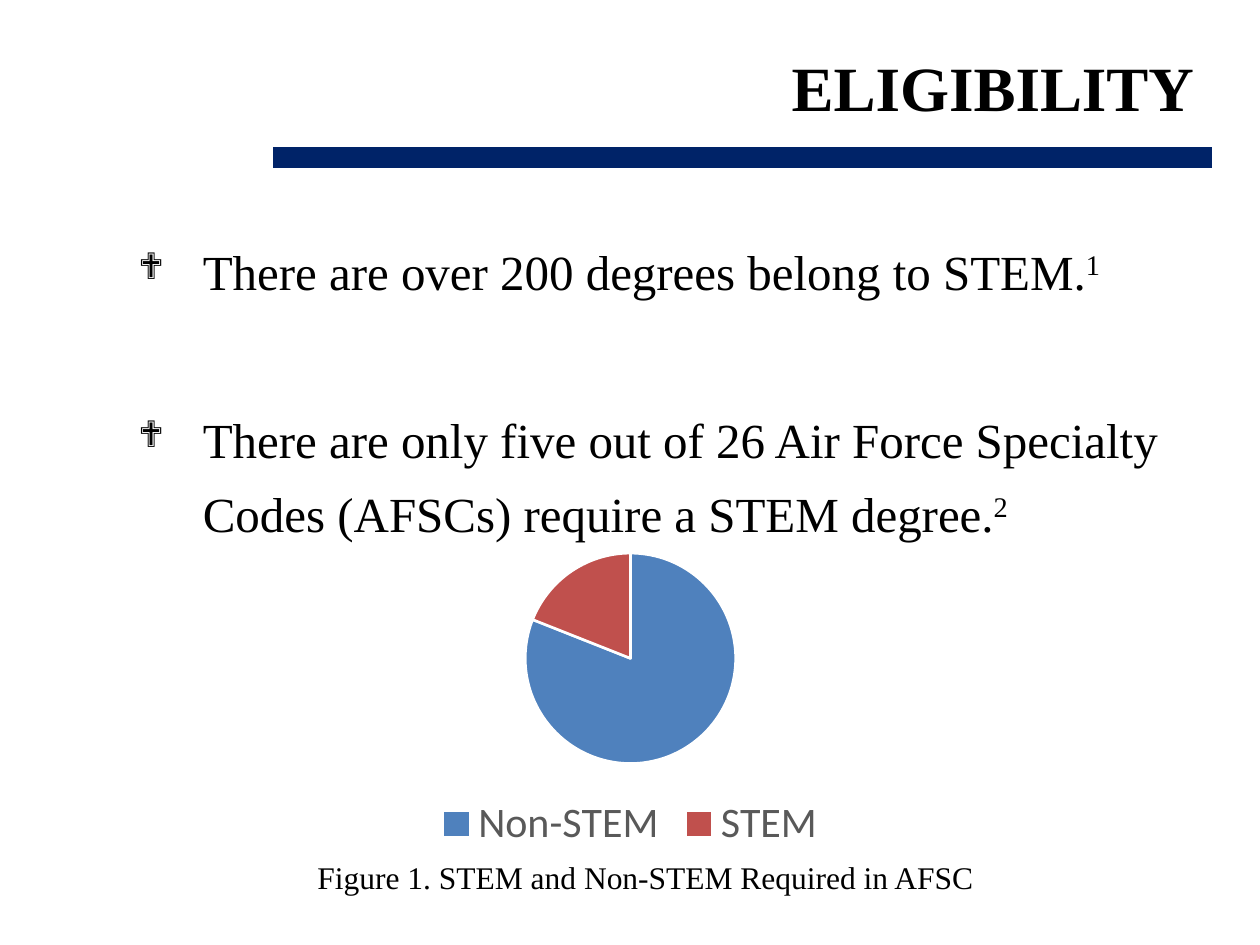
from dataclasses import dataclass

from lxml.etree import SubElement
from pptx import Presentation
from pptx.chart.data import CategoryChartData
from pptx.dml.color import RGBColor
from pptx.enum.chart import XL_CHART_TYPE as Chart, XL_LEGEND_POSITION as Legend
from pptx.enum.shapes import MSO_CONNECTOR as Conn
from pptx.enum.text import MSO_ANCHOR as Anchor, MSO_AUTO_SIZE as Auto, PP_ALIGN as Align
from pptx.oxml.ns import qn
from pptx.util import Cm, Pt


@dataclass(frozen=True)
class Theme:
    """Colours, fonts and type sizes."""
    ink: str = "000000"
    rule: str = "002368"
    legend: str = "595959"
    gap: str = "FFFFFF"
    slices: tuple = ("4F81BD", "C0504D")
    serif: str = "Times New Roman"
    sans: str = "Calibri"
    title: int = 36
    body: int = 28
    key: int = 24
    caption: int = 18


def assign(obj, **values):
    """Set each named attribute on an object."""
    for name, value in values.items():
        setattr(obj, name, value)


def box(*lengths):
    """Turn centimetres into lengths."""
    return [Cm(v) for v in lengths]


class Deck:
    """Hold the theme and the current slide."""

    def __init__(self, prs, theme):
        """Add a title-only slide."""
        self.theme = theme
        self.s = prs.slides.add_slide(prs.slide_layouts[5])

    def style(self, font, size, color=None, name=None, bold=False):
        """Format a font."""
        assign(font, size=Pt(size), name=name or self.theme.serif, bold=bold)
        font.color.rgb = RGBColor.from_string(color or self.theme.ink)

    def run(self, p, text, size, bold=False, raised=False):
        """Add a formatted run to a paragraph."""
        r = p.add_run()
        r.text = text
        self.style(r.font, size, bold=bold)
        if raised:
            r._r.get_or_add_rPr().set("baseline", "30000")

    def title(self, text, at):
        """Place the title at the right."""
        sp = self.s.shapes.title
        assign(sp, **dict(zip(("left", "top", "width", "height"), box(*at))))
        tf = sp.text_frame
        assign(tf, word_wrap=True, auto_size=Auto.NONE, vertical_anchor=Anchor.MIDDLE)
        p = tf.paragraphs[0]
        p.alignment = Align.RIGHT
        self.run(p, text, self.theme.title, bold=True)

    def rule(self, x1, x2, y, width):
        """Draw a horizontal rule."""
        cn = self.s.shapes.add_connector(Conn.STRAIGHT, *box(x1, y, x2, y))
        cn.line.width = Pt(width)
        cn.line.color.rgb = RGBColor.from_string(self.theme.rule)
        SubElement(cn._element.spPr, qn("a:effectLst"))

    def text_box(self, at):
        """Add a wrapping text box and return its frame."""
        tf = self.s.shapes.add_textbox(*box(*at)).text_frame
        tf.word_wrap = True
        return tf

    def bullets(self, items, at, first_gap, gap):
        """List items, each with a raised note number."""
        tf = self.text_box(at)
        for i, text in enumerate(items):
            p = tf.add_paragraph() if i else tf.paragraphs[0]
            assign(p, line_spacing=1.25, space_before=Pt(gap if i else first_gap))
            pPr = p._p.get_or_add_pPr()
            pPr.set("marL", str(Cm(1.3)))
            pPr.set("indent", str(-Cm(1.3)))
            SubElement(pPr, qn("a:buSzPct"), val="75000")
            SubElement(pPr, qn("a:buFont"), typeface="Wingdings")
            SubElement(pPr, qn("a:buChar"), char="❖")
            self.run(p, text, self.theme.body)
            self.run(p, str(i + 1), self.theme.body, raised=True)

    def pie(self, values, at):
        """Chart the shares as a pie with a legend below."""
        th = self.theme
        data = CategoryChartData()
        data.categories = list(values)
        data.add_series("Series 1", list(values.values()))
        chart = self.s.shapes.add_chart(Chart.PIE, *box(*at), data).chart
        assign(chart, has_title=False, has_legend=True)
        self.style(chart.font, 10, name=th.sans)
        assign(chart.legend, position=Legend.BOTTOM, include_in_layout=False)
        self.style(chart.legend.font, th.key, th.legend, th.sans)
        plot = chart.plots[0]
        plot.vary_by_categories = True
        for i, color in enumerate(th.slices):
            fmt = plot.series[0].points[i].format
            fmt.fill.solid()
            fmt.fill.fore_color.rgb = RGBColor.from_string(color)
            fmt.line.width = Pt(1.5)
            fmt.line.color.rgb = RGBColor.from_string(th.gap)

    def caption(self, text, at):
        """Write the figure caption."""
        self.run(self.text_box(at).paragraphs[0], text, self.theme.caption)


def main():
    """Build the slide."""
    prs = Presentation()
    assign(prs, slide_width=Cm(25.4), slide_height=Cm(19.05))
    deck = Deck(prs, Theme())
    deck.rule(5.51, 24.43, 3.18, 12.25)
    deck.title("ELIGIBILITY", (5.08, 0.84, 19.25, 1.8))
    deck.bullets(
        ["There are over 200 degrees belong to STEM.",
         "There are only five out of 26 Air Force Specialty Codes (AFSCs) "
         "require a STEM degree."],
        (2.54, 4.45, 22.86, 13.97), first_gap=5.6, gap=54)
    deck.pie({"Non-STEM": 81, "STEM": 19}, (4.24, 10.8, 16.94, 6.5))
    deck.caption("Figure 1. STEM and Non-STEM Required in AFSC",
                 (6.15, 17.17, 15.44, 1.02))
    prs.save("out.pptx")


if __name__ == "__main__":
    main()
